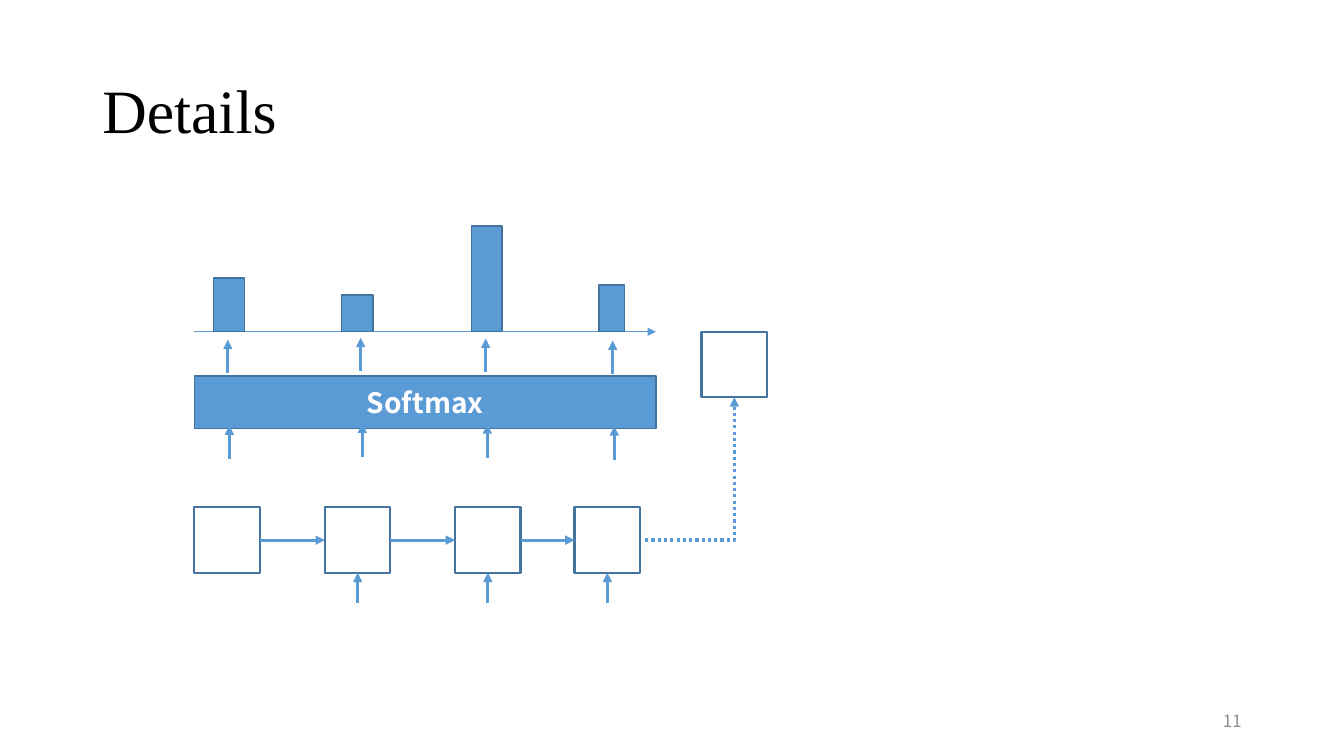
from lxml import etree
from pptx import Presentation
from pptx.dml.color import RGBColor
from pptx.enum.dml import MSO_LINE
from pptx.enum.shapes import MSO_CONNECTOR, MSO_SHAPE
from pptx.enum.text import MSO_ANCHOR, PP_ALIGN
from pptx.oxml.ns import qn
from pptx.util import Cm, Pt

STRAIGHT, ELBOW = MSO_CONNECTOR.STRAIGHT, MSO_CONNECTOR.ELBOW
RECTANGLE = MSO_SHAPE.RECTANGLE
DOTTED = MSO_LINE.ROUND_DOT  # written as sysDot
MIDDLE = MSO_ANCHOR.MIDDLE
LEFT, CENTER, RIGHT = PP_ALIGN.LEFT, PP_ALIGN.CENTER, PP_ALIGN.RIGHT

BLUE, DARK_BLUE = "5B9BD5", "43739E"
WHITE, BLACK, GRAY = "FFFFFF", "000000", "8C8C8C"
SERIF, SANS = "Times New Roman", "Noto Sans CJK SC"

CELL_SIZE = 1.65
CELL_LEFTS = [4.9, 8.19, 11.47, 14.48]
CELL_TOP = 12.78
CELL_MIDDLE = 13.61
INPUT_BOTTOM = 15.19
AXIS_LEFT, AXIS_RIGHT, AXIS_Y = 4.9, 16.53, 8.36
ARROW_LENGTH = 0.84
SCORE_ARROWS = [(5.74, 9.4), (9.09, 9.35), (12.24, 9.37), (15.44, 9.42)]
SCORE_SHIFT_X, SCORE_SHIFT_Y = 0.04, 2.16
# left, width, height
BARS = [(5.38, 0.79, 1.35), (8.61, 0.79, 0.93), (11.89, 0.76, 2.66), (15.1, 0.64, 1.18)]
CONTEXT_LEFT = 17.68


def color(value):
    return RGBColor.from_string(value)


class SlideBuilder:
    def __init__(self, slide):
        self.slide = slide

    def set_text(self, shape, text, font_name, size, font_color, alignment, bold=False):
        frame = shape.text_frame
        frame.word_wrap = True
        frame.vertical_anchor = MIDDLE
        frame.text = text
        paragraph = frame.paragraphs[0]
        paragraph.alignment = alignment
        font = paragraph.runs[0].font
        font.name, font.size, font.bold = font_name, Pt(size), bold
        font.color.rgb = color(font_color)
        return paragraph

    def text_box(self, left, top, width, height, *style):
        box = self.slide.shapes.add_textbox(Cm(left), Cm(top), Cm(width), Cm(height))
        return self.set_text(box, *style)

    def rectangle(self, left, top, width, height, fill=None, line_width=1.0):
        shape = self.slide.shapes.add_shape(
            RECTANGLE, Cm(left), Cm(top), Cm(width), Cm(height))
        shape.shadow.inherit = False
        if fill:
            shape.fill.solid()
            shape.fill.fore_color.rgb = color(fill)
        else:
            shape.fill.background()
        shape.line.color.rgb = color(DARK_BLUE)
        shape.line.width = Pt(line_width)
        return shape

    def cell(self, left, top):
        return self.rectangle(left, top, CELL_SIZE, CELL_SIZE, line_width=1.5)

    def arrow(self, start, end, line_width=2.25, kind=STRAIGHT):
        connector = self.slide.shapes.add_connector(
            kind, *(Cm(length) for length in (*start, *end)))
        connector.line.color.rgb = color(BLUE)
        connector.line.width = Pt(line_width)
        properties = connector._element.spPr
        etree.SubElement(properties, qn("a:effectLst"))
        etree.SubElement(properties.find(qn("a:ln")), qn("a:tailEnd"), type="triangle")
        return connector

    def dotted_corner_arrow(self, start, end):
        """Arrow with a single right-angle turn."""
        connector = self.arrow(start, end, kind=ELBOW)
        connector.line.dash_style = DOTTED
        geometry = connector._element.spPr.find(qn("a:prstGeom"))
        geometry.set("prst", "bentConnector2")

    def up_arrow(self, x, bottom, length):
        self.arrow((x, bottom), (x, bottom - length))


def draw_cells(builder):
    bottom = CELL_TOP + CELL_SIZE
    for left in CELL_LEFTS:
        builder.cell(left, CELL_TOP)
    for left, following in zip(CELL_LEFTS, CELL_LEFTS[1:]):
        builder.arrow((left + CELL_SIZE, CELL_MIDDLE), (following, CELL_MIDDLE))
        builder.up_arrow(following + CELL_SIZE / 2, INPUT_BOTTOM, INPUT_BOTTOM - bottom)


def draw_context(builder):
    builder.cell(CONTEXT_LEFT, AXIS_Y)
    builder.dotted_corner_arrow(
        (16.26, CELL_MIDDLE), (CONTEXT_LEFT + CELL_SIZE / 2, AXIS_Y + CELL_SIZE))


def draw_softmax(builder):
    band = builder.rectangle(AXIS_LEFT, 9.48, AXIS_RIGHT - AXIS_LEFT, 1.32, BLUE)
    builder.set_text(band, "Softmax", SANS, 20, WHITE, CENTER, True)
    for x, bottom in SCORE_ARROWS:
        builder.up_arrow(x + SCORE_SHIFT_X, bottom + SCORE_SHIFT_Y, ARROW_LENGTH)
        builder.up_arrow(x, bottom, ARROW_LENGTH)


def draw_distribution(builder):
    builder.arrow((AXIS_LEFT, AXIS_Y), (AXIS_RIGHT, AXIS_Y), line_width=0.5)
    for left, width, height in BARS:
        builder.rectangle(left, AXIS_Y - height, width, height, BLUE)


def main():
    presentation = Presentation()
    presentation.slide_width, presentation.slide_height = Cm(33.87), Cm(19.05)
    builder = SlideBuilder(presentation.slides.add_slide(presentation.slide_layouts[6]))
    draw_cells(builder)
    draw_context(builder)
    draw_softmax(builder)
    draw_distribution(builder)
    title = builder.text_box(2.33, 1.01, 29.21, 3.68, "Details", SERIF, 44, BLACK, LEFT)
    title.line_spacing = 0.9
    builder.text_box(23.92, 17.66, 7.62, 1.01, "11", SANS, 12, GRAY, RIGHT)
    presentation.save("out.pptx")


if __name__ == "__main__":
    main()
